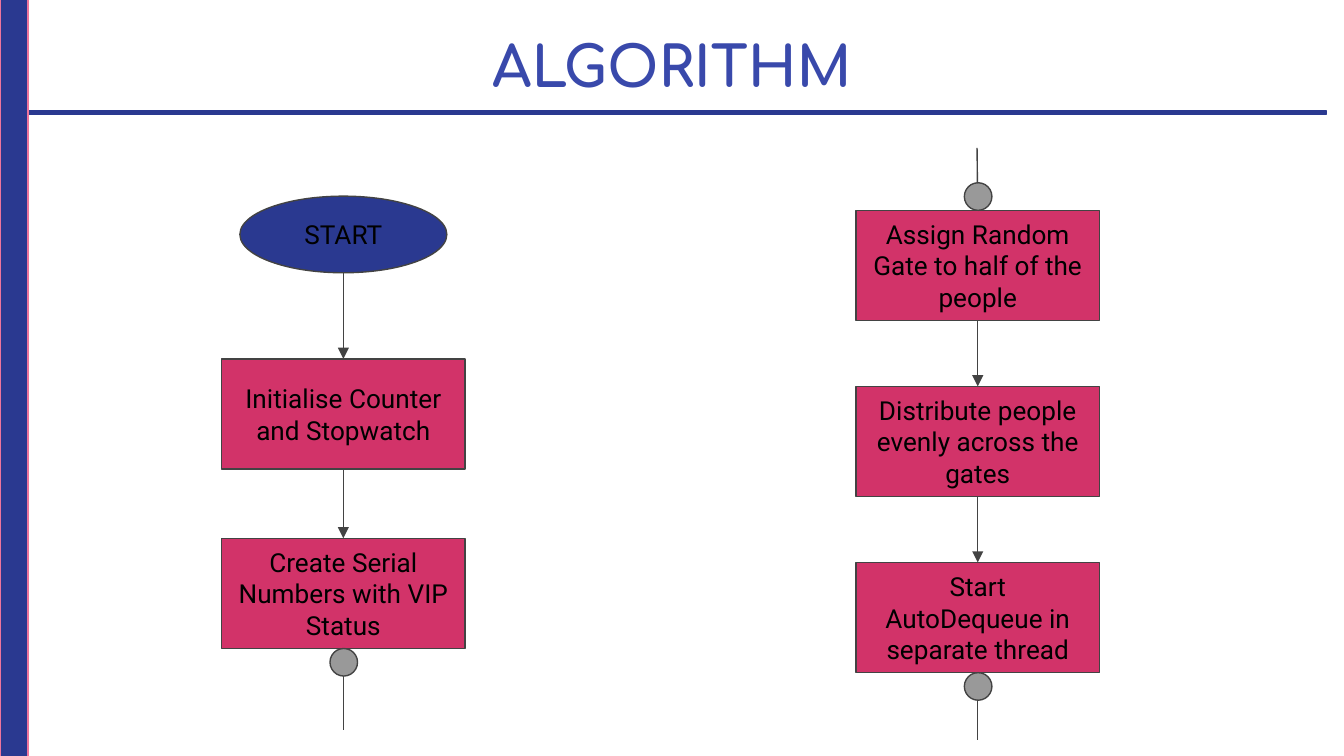
from lxml import etree
from pptx import Presentation
from pptx.dml.color import RGBColor
from pptx.enum.shapes import MSO_CONNECTOR, MSO_SHAPE
from pptx.enum.text import MSO_ANCHOR, MSO_AUTO_SIZE, PP_ALIGN
from pptx.oxml.ns import qn
from pptx.util import Pt

EMU_PER_PX = 4572  # 200 px to the inch
RECTANGLE = MSO_SHAPE.RECTANGLE
OVAL = MSO_SHAPE.OVAL
TERMINAL = MSO_SHAPE.FLOWCHART_CONNECTOR
STRAIGHT = MSO_CONNECTOR.STRAIGHT
CENTER = PP_ALIGN.CENTER
TOP, MIDDLE = MSO_ANCHOR.TOP, MSO_ANCHOR.MIDDLE
NO_AUTOFIT = MSO_AUTO_SIZE.NONE

COLORS = {
    "title": "3949AB",
    "navy": "2A3990",
    "pink": "D23369",
    "light_pink": "EE759C",
    "gray": "999999",
    "outline": "434343",
    "text": "000000",
}
TITLE_FONT, BODY_FONT = "Comfortaa", "Roboto"

SLIDE_WIDTH, SLIDE_HEIGHT = 2000, 1125
LEFT_CENTER, RIGHT_CENTER = 511, 1455
BOX_WIDTH, BOX_HEIGHT = 362, 164
START_TOP, START_WIDTH, START_HEIGHT = 292, 308, 114
DOT_SIZE = 41

LEFT_STEPS = [
    (534, "Initialise Counter and Stopwatch"),
    (801, "Create Serial Numbers with VIP Status"),
]
RIGHT_STEPS = [
    (313, "Assign Random Gate to half of the people"),
    (575, "Distribute people evenly across the gates"),
    (837, "Start AutoDequeue in separate thread"),
]


def px(length):
    return length * EMU_PER_PX


def color(name):
    return RGBColor.from_string(COLORS[name])


def write_text(shape, text, font=BODY_FONT, size=14, fill="text", bold=False, anchor=MIDDLE):
    frame = shape.text_frame
    frame.word_wrap = True
    frame.auto_size = NO_AUTOFIT
    frame.vertical_anchor = anchor
    frame.margin_left = frame.margin_right = px(20)
    frame.margin_top = frame.margin_bottom = px(20)
    paragraph = frame.paragraphs[0]
    paragraph.alignment = CENTER
    run = paragraph.add_run()
    run.text = text
    run.font.name = font
    run.font.size = Pt(size)
    run.font.bold = bold
    run.font.color.rgb = color(fill)


class Flowchart:
    """Holds the line style and the slide that is being drawn."""

    line_width = Pt(0.75)

    def __init__(self, slide):
        self.slide = slide

    def title(self, text, left, top, width, height):
        title = self.slide.shapes.title
        title.left, title.top = px(left), px(top)
        title.width, title.height = px(width), px(height)
        write_text(title, text, font=TITLE_FONT, size=30, fill="title", bold=True, anchor=TOP)

    def shape(self, kind, left, top, width, height, fill, outline="outline"):
        shape = self.slide.shapes.add_shape(kind, px(left), px(top), px(width), px(height))
        shape.shadow.inherit = False
        shape.fill.solid()
        shape.fill.fore_color.rgb = color(fill)
        shape.line.color.rgb = color(outline)
        shape.line.width = self.line_width
        return shape

    def start(self, text, center, top):
        left = center - START_WIDTH // 2
        write_text(self.shape(TERMINAL, left, top, START_WIDTH, START_HEIGHT, "navy"), text)

    def step(self, text, center, top):
        left = center - BOX_WIDTH // 2
        write_text(self.shape(RECTANGLE, left, top, BOX_WIDTH, BOX_HEIGHT, "pink"), text)

    def line(self, start_x, start_y, end_x, end_y, arrow=False):
        connector = self.slide.shapes.add_connector(
            STRAIGHT, px(start_x), px(start_y), px(end_x), px(end_y))
        connector.line.color.rgb = color("outline")
        connector.line.width = self.line_width
        etree.SubElement(connector._element.spPr, qn("a:effectLst"))
        if arrow:
            outline = connector.line._get_or_add_ln()
            etree.SubElement(outline, qn("a:tailEnd"), type="triangle")

    def steps(self, center, steps):
        """Draw a column of boxes with an arrow between each pair."""
        for top, text in steps:
            self.step(text, center, top)
        for (top, _), (next_top, _) in zip(steps, steps[1:]):
            self.line(center, top + BOX_HEIGHT, center, next_top, arrow=True)

    def link(self, center, box_edge, end_x, end_y):
        """Draw the dot and open line that continue the flow in another column."""
        self.line(center, box_edge, end_x, end_y)
        dot_top = box_edge if end_y > box_edge else box_edge - DOT_SIZE
        self.shape(OVAL, center - DOT_SIZE // 2, dot_top, DOT_SIZE, DOT_SIZE, "gray")


def main():
    presentation = Presentation()
    presentation.slide_width = px(SLIDE_WIDTH)
    presentation.slide_height = px(SLIDE_HEIGHT)
    title_only = presentation.slide_layouts[5]
    chart = Flowchart(presentation.slides.add_slide(title_only))

    chart.title("ALGORITHM", 68, 27, 1864, 138)
    chart.shape(RECTANGLE, 26, 165, 1948, 5, "navy", outline="navy")

    chart.start("START", LEFT_CENTER, START_TOP)
    chart.line(LEFT_CENTER, START_TOP + START_HEIGHT, LEFT_CENTER, LEFT_STEPS[0][0], arrow=True)
    chart.steps(LEFT_CENTER, LEFT_STEPS)
    chart.steps(RIGHT_CENTER, RIGHT_STEPS)

    chart.link(RIGHT_CENTER, RIGHT_STEPS[0][0], RIGHT_CENTER - 1, 220)
    chart.link(LEFT_CENTER, LEFT_STEPS[-1][0] + BOX_HEIGHT, LEFT_CENTER, 1086)
    chart.link(RIGHT_CENTER, RIGHT_STEPS[-1][0] + BOX_HEIGHT, RIGHT_CENTER, 1102)

    chart.shape(RECTANGLE, 0, -2, 42, 1130, "navy", outline="light_pink")
    presentation.save("out.pptx")


if __name__ == "__main__":
    main()
